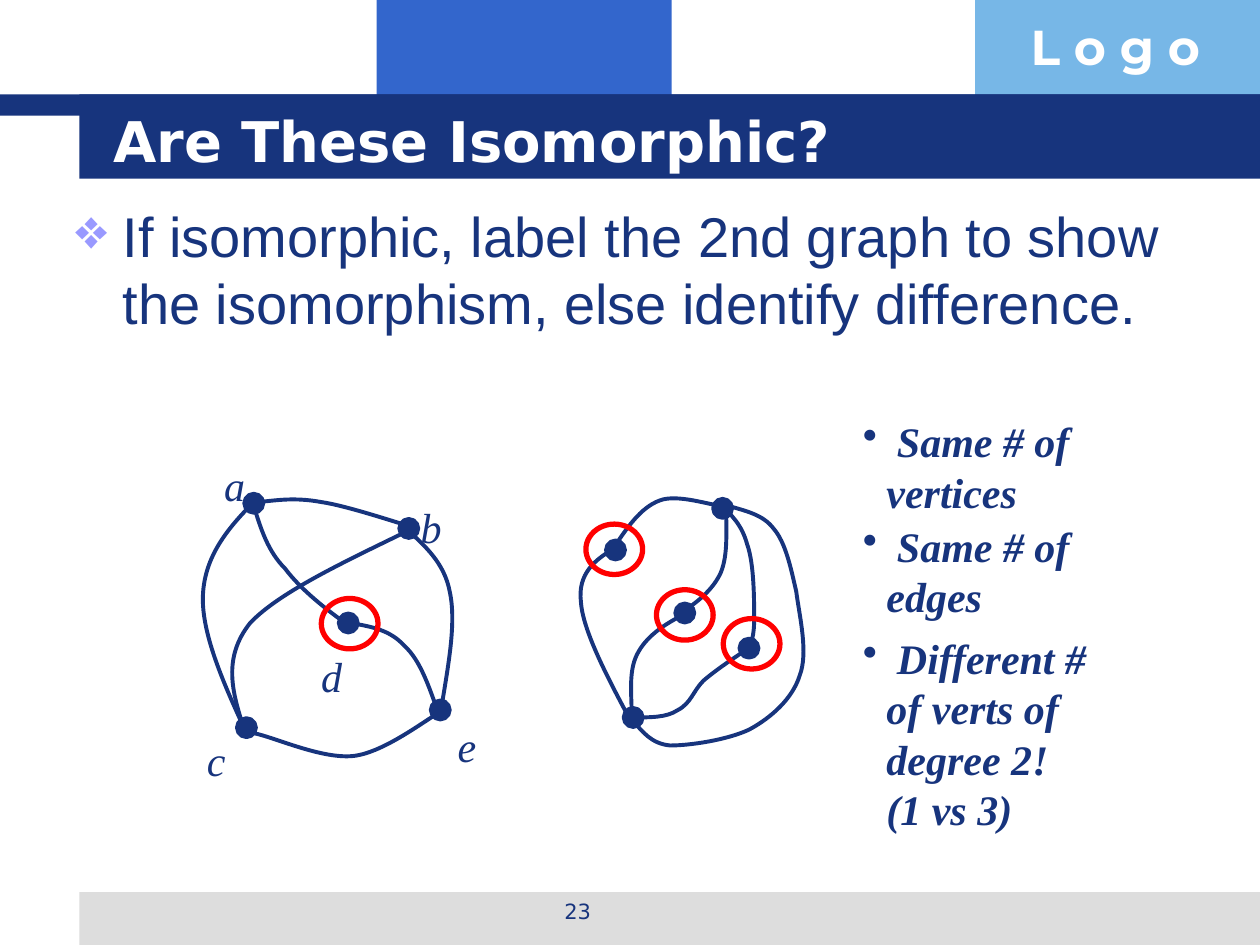
from pptx import Presentation
from pptx.dml.color import RGBColor
from pptx.enum.shapes import MSO_SHAPE
from pptx.enum.text import MSO_ANCHOR, MSO_AUTO_SIZE, PP_ALIGN
from pptx.oxml.ns import qn
from pptx.util import Pt
from lxml.etree import SubElement

NAVY, BLUE, SKY, GREY = "17347D", "3366CC", "77B7E7", "DDDDDD"
WHITE, LILAC, RED = "FFFFFF", "9999FF", "FF0000"
SERIF, SANS = "Times New Roman", "DejaVu Sans"

BANDS = [
    (215.3, 0, 168.5, 66.2, BLUE),
    (557.3, 0, 162.7, 66.2, SKY),
    (45.4, 509.8, 674.6, 30.2, GREY),
    (0, 54, 720, 12.2, NAVY),
    (45.4, 54, 674.6, 48.2, NAVY),
]

# Centres of the vertices: first graph, then second graph
VERTICES = [
    (145, 287.6), (199, 356), (233.6, 302), (251.6, 405.7), (140.8, 415.8),
    (351.7, 314.3), (412.9, 290.5), (361.8, 410), (428, 370.4), (391.3, 350.3),
]
DEGREE_TWO_RINGS = [(199.8, 356.4), (429.5, 367.9), (391.3, 351.4), (351, 313.9)]

# Each edge: a start point, then two control points and an end point per curve
LEFT_EDGES = [
    [(146.9, 287.3), (157.7, 285.8), (168.5, 284.4), (183.6, 287.3),
     (198, 289.4), (227.5, 298.8), (235.4, 301)],
    [(144.7, 287.3), (130.3, 302.4), (116.6, 318.2), (115.9, 339.8),
     (115.2, 361.4), (127.4, 388.8), (140.4, 416.9)],
    [(139, 415.4), (133.2, 396), (127.4, 375.8), (143.3, 356.4),
     (159.8, 337.7), (198.7, 319.7), (237.6, 301)],
    [(144.7, 289.4), (149, 301.7), (153.4, 314.6), (162.7, 325.4),
     (172.1, 337), (186.5, 347.8), (200.2, 357.8)],
    [(200.2, 355.7), (211.7, 357.8), (223.2, 360), (231.1, 368.6),
     (239.8, 377.3), (244.8, 391.7), (249.8, 406.1)],
    [(138.2, 416.9), (136.8, 416.2), (135.4, 416.2), (145.4, 419),
     (156.2, 421.2), (183.6, 434.2), (201.6, 432),
     (219.6, 429.8), (244.8, 410.4), (252.7, 406.1)],
    [(232.6, 303.1), (243.4, 312.5), (254.2, 321.8), (257, 338.4),
     (260.6, 355.7), (256.3, 380.9), (252, 406.1)],
]
RIGHT_EDGES = [
    [(349.9, 313.9), (357.8, 301.7), (366.5, 290.2), (376.6, 285.8),
     (387.4, 282.2), (406.8, 288.7), (411.8, 289.4)],
    [(349.9, 313.9), (339.8, 320.4), (329.8, 327.6), (331.9, 344.2),
     (333.4, 360), (347, 386.6), (360.7, 412.6)],
    [(361.4, 410.4), (360.7, 397.4), (359.3, 383.8), (363.6, 373.7),
     (368.6, 363.6), (379.4, 357.1), (391, 350.6)],
    [(391, 349.2), (399.6, 342.7), (408.2, 336.2), (411.8, 326.9),
     (416.2, 316.8), (415.4, 303.8), (415.4, 290.2)],
    [(411.8, 289.4), (418.3, 294.5), (424.1, 300.2), (427, 311),
     (430.6, 321.8), (431.3, 343.4), (431.3, 353.5),
     (431.3, 363.6), (429.1, 367.9), (428.4, 370.8)],
    [(361.4, 410.4), (371.5, 409.7), (380.9, 409.7), (387.4, 406.1),
     (394.6, 402.5), (396, 394.6), (402.5, 388.8),
     (409, 383), (418.3, 376.6), (427, 370.8)],
    [(361.4, 411.1), (367.2, 417.6), (372.2, 424.8), (383, 425.5),
     (393.8, 426.2), (415.4, 423.4), (428.4, 416.9),
     (440.6, 410.4), (452.9, 398.9), (457.2, 385.9),
     (461.5, 373), (457.2, 352.8), (455, 338.4),
     (452.2, 324.7), (448.6, 310.3), (442.1, 302.4),
     (435.6, 293.8), (426.2, 291.6), (416.2, 289.4)],
]

VERTEX_LABELS = [("a", 121, 259.2), ("b", 233.3, 283), ("c", 110.5, 416.2),
                 ("d", 176.4, 367.9), ("e", 253.8, 408.2)]
FINDINGS = [
    (" Same # of vertices", 234, 64.8),
    (" Same # of edges", 293.8, 64.8),
    (" Different # of verts of degree 2!\n(1 vs 3)", 357.8, 122.4),
]


def rgb(color):
    return RGBColor.from_string(color)


def style(shape, fill=None, line=None, weight=2.25):
    shape.shadow.inherit = False
    if fill:
        shape.fill.solid()
        shape.fill.fore_color.rgb = rgb(fill)
    else:
        shape.fill.background()
    if line:
        shape.line.color.rgb = rgb(line)
        shape.line.width = Pt(weight)
    else:
        shape.line.fill.background()


def add_band(page, left, top, width, height, color):
    band = page.shapes.add_shape(MSO_SHAPE.RECTANGLE, Pt(left), Pt(top), Pt(width), Pt(height))
    style(band, fill=color)


def add_oval(page, center, width, height, **look):
    x, y = center
    oval = page.shapes.add_shape(
        MSO_SHAPE.OVAL, Pt(x - width / 2), Pt(y - height / 2), Pt(width), Pt(height))
    style(oval, **look)


def add_curve(page, points):
    """Draw an open freeform whose points after the first form cubic Bézier triples."""
    builder = page.shapes.build_freeform(*points[0], scale=Pt(1))
    builder.add_line_segments(points[1:], close=False)
    curve = builder.convert_to_shape()
    segments = list(curve.element.iter(qn("a:lnTo")))
    for first in range(0, len(segments), 3):
        triple = segments[first:first + 3]
        outline = triple[0].getparent()
        bezier = SubElement(outline, qn("a:cubicBezTo"))
        for segment in triple:
            bezier.append(segment[0])
            outline.remove(segment)
    style(curve, line=NAVY)


def set_bullet(para, symbol, indent, color):
    properties = para._p.get_or_add_pPr()
    properties.set("marL", str(Pt(indent)))
    properties.set("indent", str(-Pt(indent)))
    bullet_color = SubElement(properties, qn("a:buClr"))
    SubElement(bullet_color, qn("a:srgbClr"), val=color)
    SubElement(properties, qn("a:buChar"), char=symbol)


def add_text(page, text, left, top, width, height, *, size, font, color=NAVY,
             bold=False, italic=False, align=PP_ALIGN.LEFT, anchor=MSO_ANCHOR.TOP,
             wrap=True, grow=False, bullet=None, indent=0, bullet_color=NAVY):
    box = page.shapes.add_textbox(Pt(left), Pt(top), Pt(width), Pt(height))
    frame = box.text_frame
    frame.word_wrap = wrap
    frame.auto_size = MSO_AUTO_SIZE.SHAPE_TO_FIT_TEXT if grow else MSO_AUTO_SIZE.NONE
    frame.vertical_anchor = anchor
    para = frame.paragraphs[0]
    para.text = text
    para.alignment = align
    if bullet:
        set_bullet(para, bullet, indent, bullet_color)
    for span in para.runs:
        span.font.size = Pt(size)
        span.font.name = font
        span.font.bold = bold
        span.font.italic = italic
        span.font.color.rgb = rgb(color)


def add_graphs(page):
    for center in VERTICES:
        add_oval(page, center, 10.8, 10.8, fill=NAVY, line=NAVY)
    for edge in LEFT_EDGES + RIGHT_EDGES:
        add_curve(page, edge)
    for label, left, top in VERTEX_LABELS:
        add_text(page, label, left, top, 26, 36, size=24, font=SERIF, italic=True,
                 align=PP_ALIGN.CENTER, anchor=MSO_ANCHOR.MIDDLE, wrap=False, grow=True)
    for center in DEGREE_TWO_RINGS:
        add_oval(page, center, 32.4, 28.8, line=RED, weight=3)


def main():
    deck = Presentation()
    deck.slide_width, deck.slide_height = Pt(720), Pt(540)
    page = deck.slides.add_slide(deck.slide_layouts[6])

    for band in BANDS:
        add_band(page, *band)
    add_text(page, "L o g o", 581.8, 5.8, 138.9, 41, size=28, font="Montserrat",
             color=WHITE, bold=True, grow=True)
    add_text(page, "23", 246.2, 509.8, 167.8, 25.2, size=12, font=SANS, align=PP_ALIGN.CENTER)
    add_text(page, "Are These Isomorphic?", 57.6, 57.6, 614.2, 44.6, size=32, font=SANS,
             color=WHITE, bold=True, anchor=MSO_ANCHOR.MIDDLE)
    add_text(page, "If isomorphic, label the 2nd graph to show the isomorphism, "
             "else identify difference.", 36, 111.6, 648, 384.5, size=32, font="Arial",
             bullet="❖", indent=27, bullet_color=LILAC)
    add_graphs(page)
    for finding, top, height in FINDINGS:
        add_text(page, finding, 486, top, 167.8, height, size=24, font=SERIF, bold=True,
                 italic=True, anchor=MSO_ANCHOR.MIDDLE, grow=True, bullet="•", indent=13.5)

    deck.save("out.pptx")


if __name__ == "__main__":
    main()
